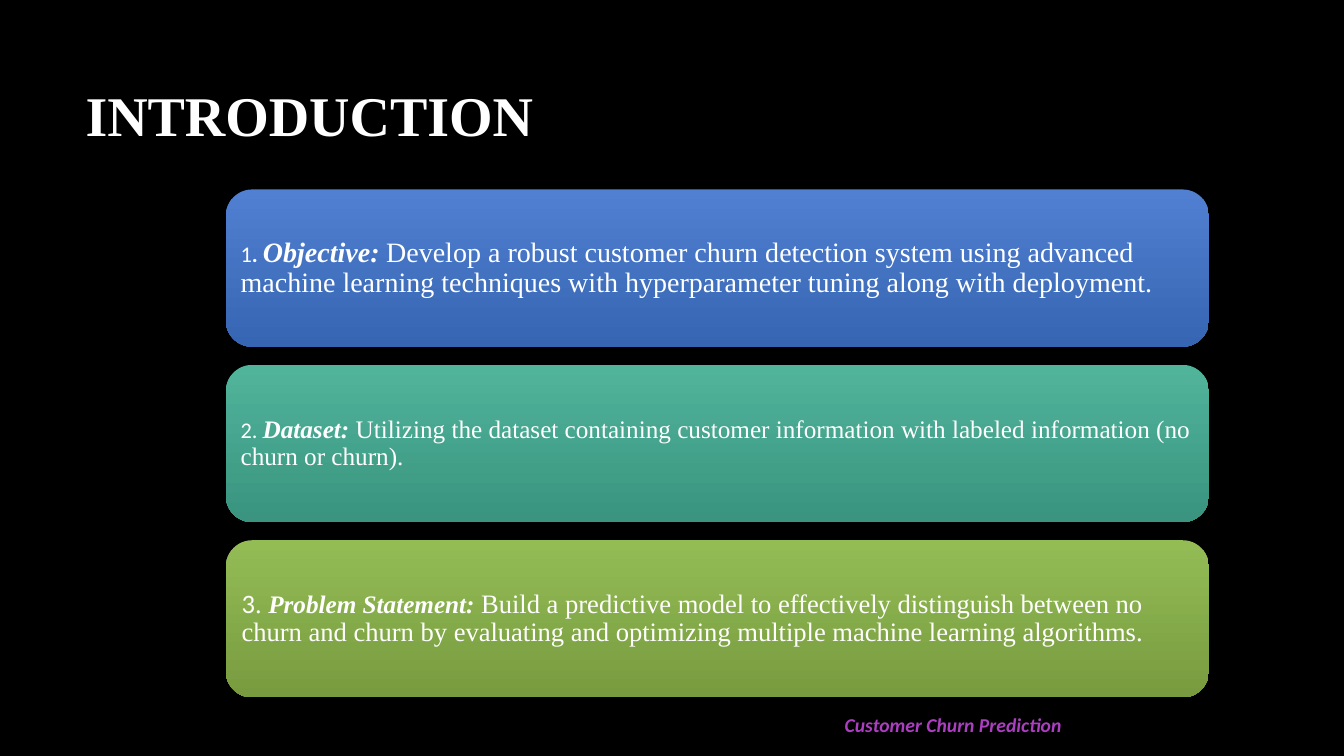
from pptx import Presentation
from pptx import util as u
from pptx.dml.color import RGBColor
from pptx.enum import shapes, text

WIDE, HIGH = 13.33, 7.5
LEFT, TOP, SPAN, TALL, STEP = 2.24, 1.88, 9.75, 1.56, 1.74
SERIF, SANS = "Times New Roman", "Calibri"
HUES = {
    "back": "000000",
    "text": "FFFFFF",
    "foot": "AC3EC1",
    "blue": ("5180D2", "3665B3"),
    "teal": ("50B49B", "3A947F"),
    "green": ("93BC55", "789B3F"),
}
CARDS = [
    ("blue", 0.07, [
        ("1", 16, SANS, ""),
        (". ", 16, SANS, "b"),
        ("Objective:", 20, SERIF, "bi"),
        (" ", 18, SERIF, "b"),
        ("Develop a robust customer churn detection system using advanced "
         "machine learning techniques with hyperparameter tuning along with "
         "deployment.", 20, SERIF, ""),
    ]),
    ("teal", 0.07, [
        ("2. ", 16, SANS, ""),
        ("Dataset: ", 18, SERIF, "bi"),
        ("Utilizing the dataset containing customer information with labeled "
         "information (no churn or churn).", 18, SERIF, ""),
    ]),
    ("green", 0.08, [
        ("3", 19, SANS, ""),
        (". ", 19, SERIF, ""),
        ("Problem Statement: ", 18, SERIF, "bi"),
        ("Build a predictive model to effectively distinguish between no churn "
         "and churn by evaluating and optimizing multiple machine learning "
         "algorithms.", 19, SERIF, ""),
    ]),
]


def rgb(code):
    return RGBColor.from_string(code)


def write(shape, runs, hue="text"):
    frame = shape.text_frame
    frame.word_wrap = True
    frame.vertical_anchor = text.MSO_ANCHOR.MIDDLE
    para = frame.paragraphs[0]
    para.alignment = text.PP_ALIGN.LEFT
    para.line_spacing = 0.9
    for words, size, face, style in runs:
        run = para.add_run()
        run.text = words
        font = run.font
        font.size, font.name = u.Pt(size), face
        font.bold, font.italic = "b" in style, "i" in style
        font.color.rgb = rgb(HUES[hue])


def label(slide, x, y, w, h, run, hue="text"):
    box = slide.shapes.add_textbox(*map(u.Inches, (x, y, w, h)))
    write(box, [run], hue)


def card(slide, row, hue, pad, runs):
    spot = (LEFT, TOP + row * STEP, SPAN, TALL)
    shape = slide.shapes.add_shape(
        shapes.MSO_SHAPE.ROUNDED_RECTANGLE, *map(u.Inches, spot))
    shape.shadow.inherit = False
    shape.line.fill.background()
    shape.fill.gradient()
    shape.fill.gradient_angle = 270
    for stop, code in zip(shape.fill.gradient_stops, HUES[hue]):
        stop.color.rgb = rgb(code)
    frame = shape.text_frame
    frame.margin_left = frame.margin_right = u.Inches(pad)
    frame.margin_top = frame.margin_bottom = u.Inches(pad)
    write(shape, runs)


def main():
    deck = Presentation()
    deck.slide_width, deck.slide_height = u.Inches(WIDE), u.Inches(HIGH)
    slide = deck.slides.add_slide(deck.slide_layouts[6])
    slide.background.fill.solid()
    slide.background.fill.fore_color.rgb = rgb(HUES["back"])
    label(slide, 0.75, 0.77, 11.08, 0.8, ("INTRODUCTION", 40, SERIF, "b"))
    for row, (hue, pad, runs) in enumerate(CARDS):
        card(slide, row, hue, pad, runs)
    label(slide, 8.28, 7, 4.9, 0.4,
          ("Customer Churn Prediction", 14, SANS, "bi"), "foot")
    deck.save("out.pptx")


if __name__ == "__main__":
    main()
